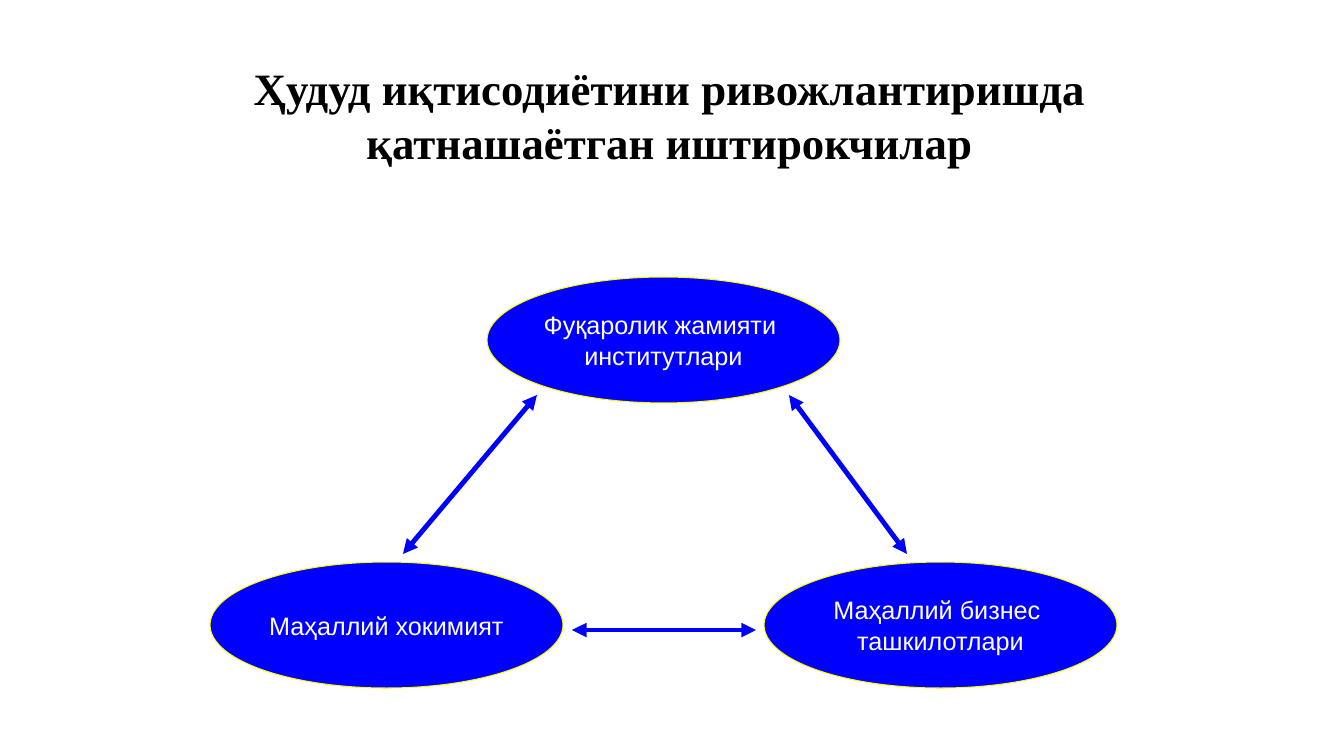
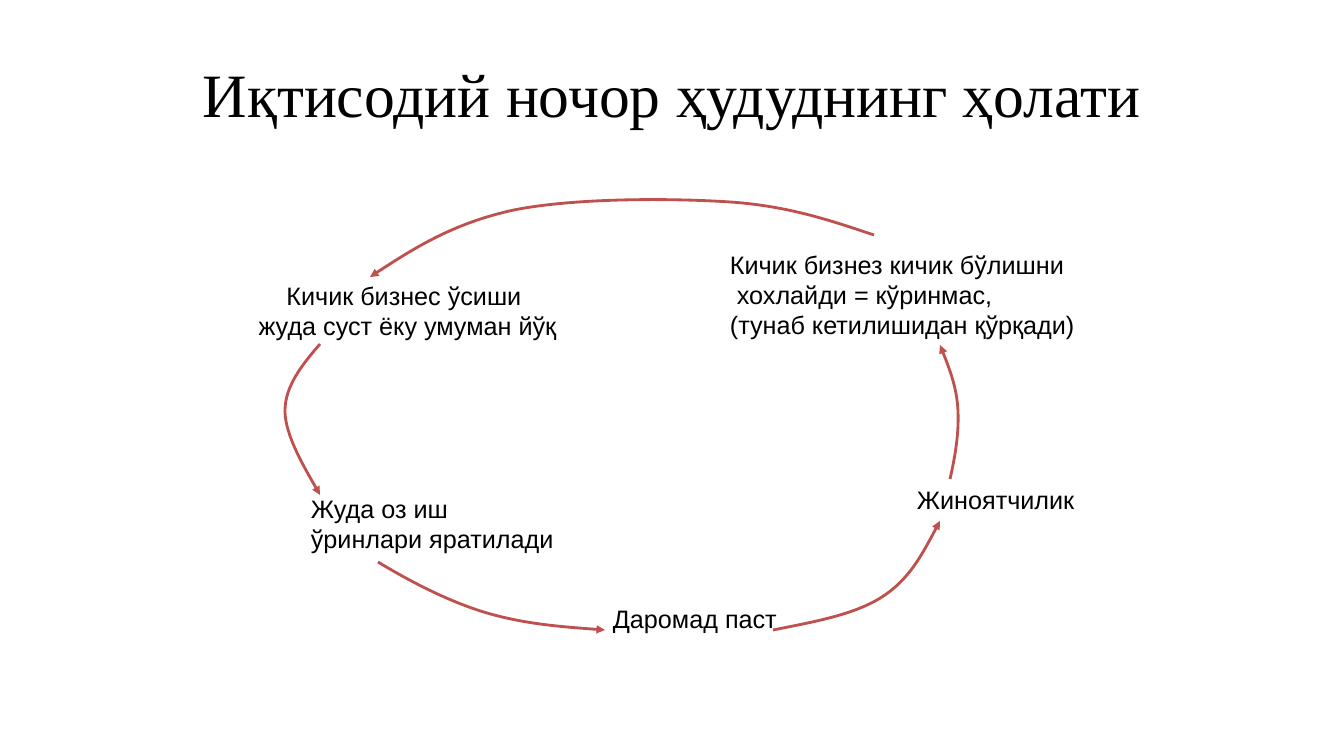
from dataclasses import dataclass

from lxml import etree
from pptx import Presentation
from pptx.dml.color import RGBColor
from pptx.enum.shapes import MSO_CONNECTOR, MSO_SHAPE
from pptx.enum.text import MSO_ANCHOR, MSO_AUTO_SIZE, PP_ALIGN
from pptx.oxml.ns import qn
from pptx.util import Pt

CENTER, LEFT = PP_ALIGN.CENTER, PP_ALIGN.LEFT
MIDDLE, TOP = MSO_ANCHOR.MIDDLE, MSO_ANCHOR.TOP
NO_FIT, GROW = MSO_AUTO_SIZE.NONE, MSO_AUTO_SIZE.SHAPE_TO_FIT_TEXT
ELLIPSE = MSO_SHAPE.OVAL
STRAIGHT = MSO_CONNECTOR.STRAIGHT
TITLE_ONLY = 5
EMU_PER_PX = 914400 / 100.8


@dataclass(frozen=True)
class Theme:
    ink: str = "000000"
    node: str = "0000FF"
    node_edge: str = "FFFF00"
    node_text: str = "FFFFFF"
    curve: str = "C0504D"
    title_font: str = "Times New Roman"
    body_font: str = "Arial"
    body_size: int = 18
    title_size: int = 44
    long_title_size: int = 32
    edge_width: float = 0.75
    link_width: float = 3.5
    curve_width: float = 2


THEME = Theme()


def px(*lengths):
    return [round(length * EMU_PER_PX) for length in lengths]


def write(shape, text, size=THEME.body_size, font=THEME.body_font, color=THEME.ink,
          bold=False, align=LEFT, anchor=TOP, wrap=False, fit=NO_FIT):
    frame = shape.text_frame
    frame.text = text
    frame.word_wrap = wrap
    frame.auto_size = fit
    frame.vertical_anchor = anchor
    for paragraph in frame.paragraphs:
        paragraph.alignment = align
        for run in paragraph.runs:
            run.font.size = Pt(size)
            run.font.name = font
            run.font.bold = bold
            run.font.color.rgb = RGBColor.from_string(color)


def outline(shape, color, width, *arrow_ends):
    shape.line.color.rgb = RGBColor.from_string(color)
    shape.line.width = Pt(width)
    line = shape._element.spPr.find(qn("a:ln"))
    for end in arrow_ends:
        etree.SubElement(line, qn(f"a:{end}"), type="triangle")


def titled_slide(deck, text, box, **text_format):
    slide = deck.slides.add_slide(deck.slide_layouts[TITLE_ONLY])
    title = slide.shapes.title
    title.left, title.top, title.width, title.height = px(*box)
    write(title, text, font=THEME.title_font, align=CENTER, anchor=MIDDLE,
          wrap=True, **text_format)
    return slide


def participant(slide, text, box):
    ellipse = slide.shapes.add_shape(ELLIPSE, *px(*box))
    ellipse.shadow.inherit = False
    ellipse.fill.solid()
    ellipse.fill.fore_color.rgb = RGBColor.from_string(THEME.node)
    outline(ellipse, THEME.node_edge, THEME.edge_width)
    write(ellipse, text, color=THEME.node_text, align=CENTER, anchor=MIDDLE)


def two_way_link(slide, start, end):
    link = slide.shapes.add_connector(STRAIGHT, *px(*start, *end))
    outline(link, THEME.node, THEME.link_width, "headEnd", "tailEnd")
    etree.SubElement(link._element.spPr, qn("a:effectLst"))


def participant_triangle(slide, box, names, links):
    left, top, width, height = box
    node_width, node_height = 353, 126
    right, bottom = left + width - node_width, top + height - node_height
    corners = [((left + right) / 2, top), (right, bottom), (left, bottom)]
    for name, corner in zip(names, corners):
        participant(slide, name, (*corner, node_width, node_height))
    for link in links:
        two_way_link(slide, *[(left + x, top + y) for x, y in link])


def curved_arrow(slide, points):
    builder = slide.shapes.build_freeform(*points[0], scale=EMU_PER_PX)
    builder.add_line_segments(points[1:], close=False)
    curve = builder.convert_to_shape()
    curve.shadow.inherit = False
    curve.fill.background()
    outline(curve, THEME.curve, THEME.curve_width, "tailEnd")
    outline_points = next(curve._element.iter(qn("a:pathLst")))[0]
    segments = outline_points.findall(qn("a:lnTo"))
    for first in range(0, len(segments), 3):
        bezier = etree.SubElement(outline_points, qn("a:cubicBezTo"))
        for segment in segments[first:first + 3]:
            bezier.append(segment[0])
            outline_points.remove(segment)


def poverty_cycle(slide, box, stages, arrows):
    left, top = box[:2]
    for text, (x, y, width, height), align in stages:
        stage = slide.shapes.add_textbox(*px(left + x, top + y, width, height))
        write(stage, text, align=align, fit=GROW)
    for arrow in arrows:
        curved_arrow(slide, [(left + x, top + y) for x, y in arrow])


PARTICIPANTS = [
    "Фуқаролик жамияти \nинститутлари",
    "Маҳаллий бизнес \nташкилотлари",
    "Маҳаллий хокимият",
]
PARTICIPANT_LINKS = [
    ((193, 277), (327, 118)),
    ((579, 118), (697, 277)),
    ((362, 353), (546, 353)),
]
STAGES = [
    ("Кичик бизнес ўсиши \nжуда суст ёку умуман йўқ", (0, 77, 321, 72), CENTER),
    ("Жуда оз иш \nўринлари яратилади", (54, 290, 265, 72), LEFT),
    ("Даромад паст", (356, 400, 185, 41), LEFT),
    ("Жиноятчилик", (660, 281, 178, 41), LEFT),
    ("Кичик бизнез кичик бўлишни\n хохлайди = кўринмас, \n(тунаб кетилишидан қўрқади)",
     (473, 46, 368, 102), LEFT),
]
STAGE_ARROWS = [
    [(73, 146), (55, 167), (38, 188), (38, 213), (38, 238), (66, 284), (73, 297)],
    [(131, 364), (166, 385), (203, 404), (240, 415), (278, 426), (317, 429), (358, 432)],
    [(526, 432), (566, 424), (607, 417), (635, 399), (663, 381), (678, 351), (693, 323)],
    [(703, 281), (708, 259), (712, 236), (711, 213), (710, 191), (702, 169), (693, 147)],
    [(627, 37), (585, 23), (542, 8), (483, 4), (422, 0), (327, 0), (267, 12),
     (207, 25), (164, 52), (123, 79)],
]

deck = Presentation()
deck.slide_width, deck.slide_height = px(1344, 756)

participants_slide = titled_slide(
    deck, "Ҳудуд иқтисодиётини ривожлантиришда қатнашаётган иштирокчилар",
    (216, 52, 907, 126), size=THEME.long_title_size, bold=True)
participant_triangle(participants_slide, (210, 277, 907, 411), PARTICIPANTS, PARTICIPANT_LINKS)

cycle_slide = titled_slide(
    deck, "Иқтисодий ночор ҳудуднинг ҳолати", (67, 30, 1210, 126), size=THEME.title_size)
poverty_cycle(cycle_slide, (247, 198, 841, 441), STAGES, STAGE_ARROWS)

deck.save("out.pptx")
